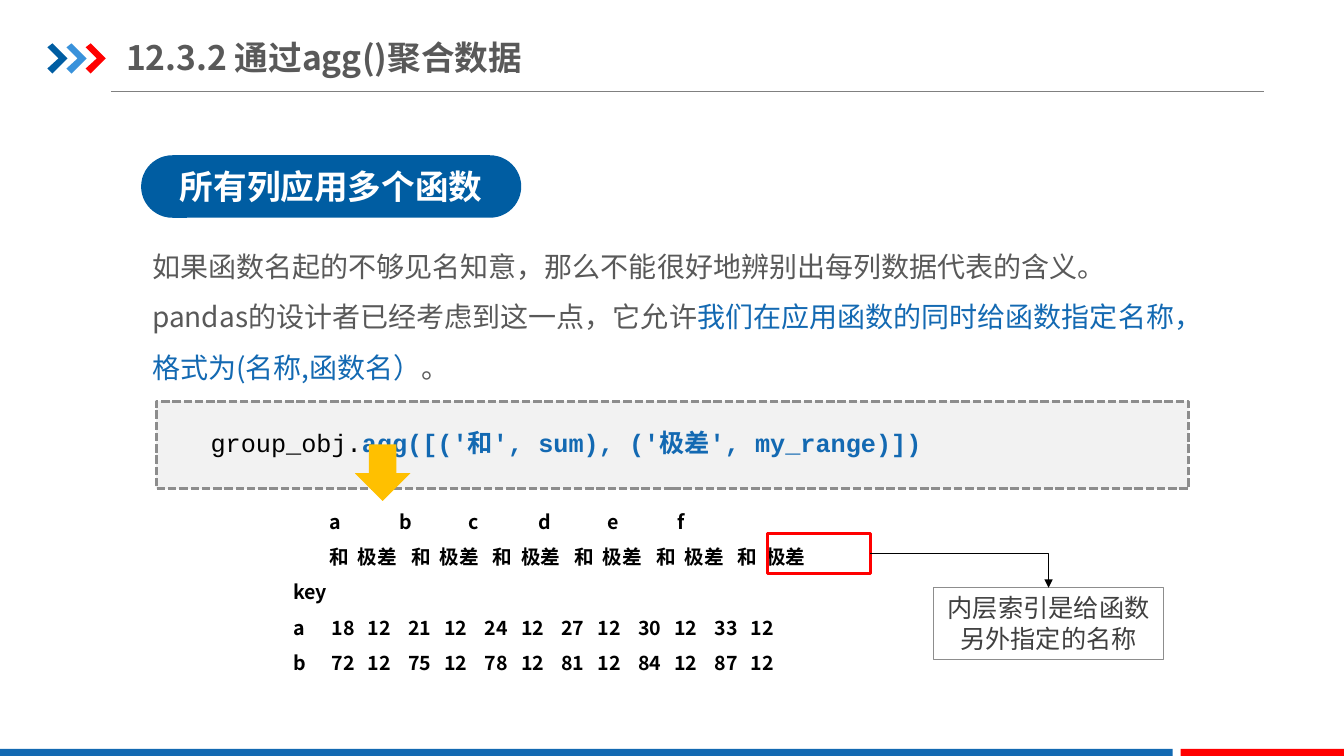
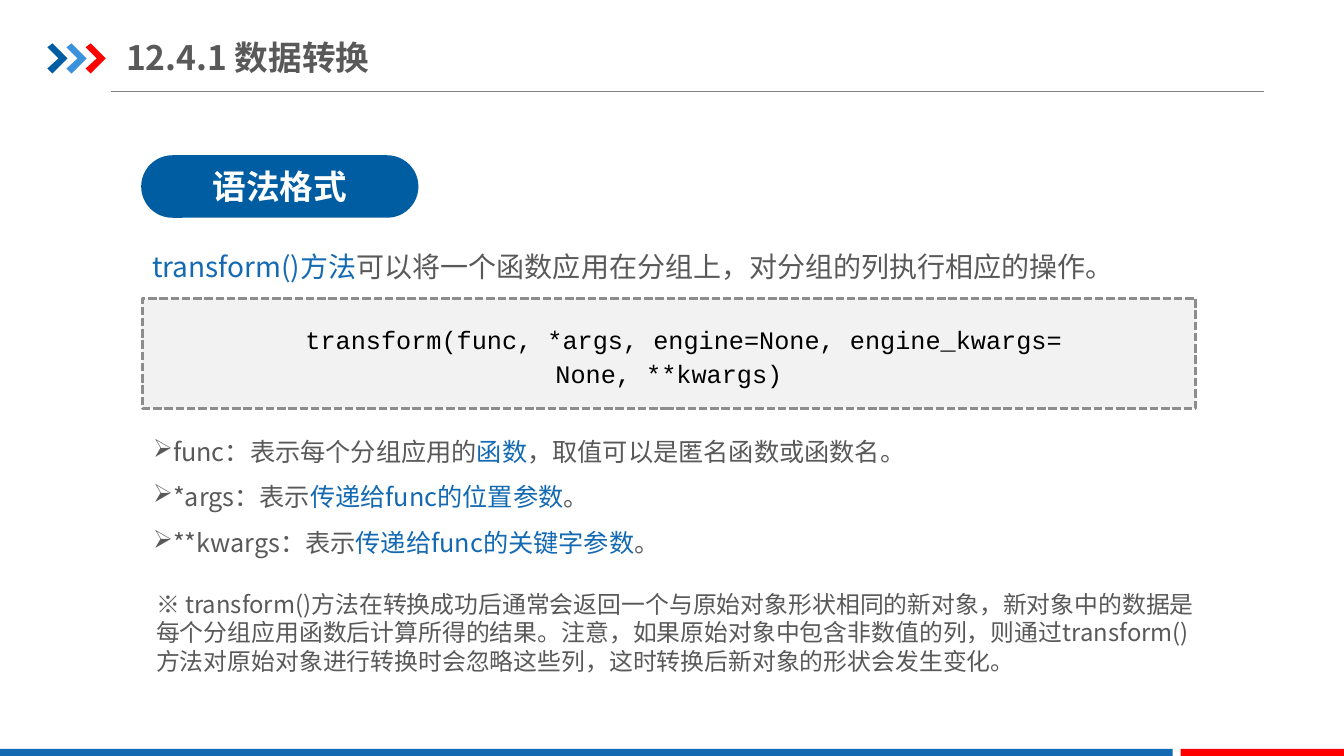
from dataclasses import dataclass

from lxml import etree
from pptx import Presentation
from pptx.dml.color import RGBColor
from pptx.enum import dml, shapes, text
from pptx.oxml import ns
from pptx.util import Inches, Pt


@dataclass(frozen=True)
class Theme:
    navy: str = "005DA2"
    sky: str = "3992DB"
    blue: str = "1369B2"
    red: str = "FF0000"
    amber: str = "FFC000"
    body: str = "595959"
    note: str = "404040"
    rule: str = "808080"
    border: str = "8D8D8D"
    panel: str = "F2F2F2"
    black: str = "000000"
    white: str = "FFFFFF"
    sans: str = "Noto Sans CJK SC"
    mono: str = "Courier New"
    heading_size: int = 24
    lead_size: int = 20
    text_size: int = 18
    remark_size: int = 17
    output_size: int = 14


theme = Theme()
rgb = RGBColor.from_string
RECT = shapes.MSO_SHAPE.RECTANGLE


def add_box(slide, at, kind=None, fill=None, line=None, width=0.75, dash=None):
    """Add a preset shape, or a text box when no kind is given."""
    place = [Inches(length) for length in at]
    if kind is None:
        return slide.shapes.add_textbox(*place)
    shape = slide.shapes.add_shape(kind, *place)
    shape.shadow.inherit = False
    if fill:
        shape.fill.solid()
        shape.fill.fore_color.rgb = rgb(fill)
    else:
        shape.fill.background()
    if line:
        shape.line.color.rgb = rgb(line)
        shape.line.width = Pt(width)
        shape.line.dash_style = dash
    else:
        shape.line.fill.background()
    return shape


def write(shape, paragraphs, size, color=theme.body, bold=False, font=theme.sans,
          align=text.PP_ALIGN.LEFT, anchor=text.MSO_ANCHOR.TOP, spacing=1.0,
          indent=0, bullet=None, tabs=None):
    """Fill a shape; a paragraph is a list of (text, colour, bold) runs, the last two optional."""
    frame = shape.text_frame
    frame.word_wrap = True
    frame.vertical_anchor = anchor
    for index, runs in enumerate(paragraphs):
        paragraph = frame.paragraphs[0] if index == 0 else frame.add_paragraph()
        paragraph.alignment = align
        paragraph.line_spacing = spacing
        properties = paragraph._p.get_or_add_pPr()
        if indent:
            properties.set("marL", "0")
            properties.set("indent", str(Inches(indent)))
        if bullet:
            etree.SubElement(properties, ns.qn("a:buChar")).set("char", bullet)
        if tabs and tabs[index]:
            tab_list = etree.SubElement(properties, ns.qn("a:tabLst"))
            for stop in tabs[index]:
                tab = etree.SubElement(tab_list, ns.qn("a:tab"))
                tab.set("pos", str(Inches(stop)))
                tab.set("algn", "l")
        for content, *style in runs:
            if content == "\n":
                paragraph.add_line_break()
                continue
            run = paragraph.add_run()
            run.text = content
            run.font.size = Pt(size)
            run.font.bold = style[1] if len(style) > 1 else bold
            run.font.color.rgb = rgb(style[0] if style else color)
            run.font.name = font
            east_asian = etree.SubElement(run._r.get_or_add_rPr(), ns.qn("a:ea"))
            east_asian.set("typeface", theme.sans)


presentation = Presentation()
presentation.slide_width = Inches(13.33)
presentation.slide_height = Inches(7.5)

# Shared frame: chevrons, title, rule, topic pill, footer bands
CHEVRON = [(0, 0.04), (0.05, 0), (0.2, 0.15), (0.05, 0.3), (0, 0.25), (0.11, 0.15)]
topics = [
    ("12.3.2 通过agg()聚合数据", "所有列应用多个函数", 3.77),
    ("12.4.1 数据转换", "语法格式", 2.75),
]
for title, topic, pill_width in topics:
    slide = presentation.slides.add_slide(presentation.slide_layouts[6])

    title_rule = slide.shapes.add_connector(
        shapes.MSO_CONNECTOR.STRAIGHT, Inches(1.1), Inches(0.91), Inches(12.54), Inches(0.91))
    title_rule.line.color.rgb = rgb(theme.rule)
    title_rule.line.width = Pt(0.75)
    etree.SubElement(title_rule._element.spPr, ns.qn("a:effectLst"))

    for index, color in enumerate([theme.navy, theme.sky, theme.red]):
        points = [(Inches(0.47 + 0.19 * index + x), Inches(0.43 + y)) for x, y in CHEVRON]
        builder = slide.shapes.build_freeform(*points[0])
        builder.add_line_segments(points[1:], close=True)
        chevron = builder.convert_to_shape()
        chevron.shadow.inherit = False
        chevron.fill.solid()
        chevron.fill.fore_color.rgb = rgb(color)
        chevron.line.fill.background()

    add_box(slide, (0, 7.43, 11.63, 0.07), RECT, theme.blue)
    add_box(slide, (11.71, 7.43, 1.62, 0.07), RECT, theme.red)

    title_box = add_box(slide, (1.25, 0.29, 4.55, 0.55))
    title_box.text_frame.margin_left = title_box.text_frame.margin_right = 0
    write(title_box, [[(title,)]], theme.heading_size, bold=True,
          anchor=text.MSO_ANCHOR.MIDDLE)

    pill = add_box(slide, (1.4, 1.54, pill_width, 0.62),
                   shapes.MSO_SHAPE.ROUNDED_RECTANGLE, theme.navy)
    pill.adjustments[0] = 0.5
    write(pill, [[(topic,)]], theme.heading_size, theme.white, bold=True,
          align=text.PP_ALIGN.CENTER, anchor=text.MSO_ANCHOR.MIDDLE)

agg_slide, transform_slide = presentation.slides

# Slide 1: naming the aggregated columns
write(add_box(agg_slide, (1.41, 2.26, 10.61, 1.62)), [[
    ("如果函数名起的不够见名知意，那么不能很好地辨别出每列数据代表的含义。"
     "pandas的设计者已经考虑到这一点，它允许",),
    ("我们在应用函数的同时给函数指定名称，格式为(名称,函数名）", theme.blue),
    ("。",),
]], theme.lead_size, spacing=1.5)

add_box(agg_slide, (1.55, 3.98, 10.24, 0.87), RECT, theme.panel, theme.border, 2,
        dml.MSO_LINE.SQUARE_DOT).line.dash_style = dml.MSO_LINE.SQUARE_DOT
write(add_box(agg_slide, (1.7, 4.14, 10.16, 0.45)), [[
    ("group_obj.",),
    ("agg([('和', sum), ('极差', my_range)])", theme.blue, True),
]], theme.text_size, theme.black, font=theme.mono, spacing=1.15, indent=0.29)
add_box(agg_slide, (3.52, 4.41, 0.55, 0.56), shapes.MSO_SHAPE.DOWN_ARROW, theme.amber)

column_stops = [0.36 + 0.69 * column for column in range(6)]
name_stops = [start + 0.81 * column for column in range(6) for start in (0.36, 0.64)]
value_stops = [start + 0.76 * column for column in range(6) for start in (0.38, 0.74)]
output_rows = [
    ("", list("abcdef"), column_stops),
    ("", ["和", "极差"] * 6, name_stops),
    ("key", [], []),
    ("a", "18 12 21 12 24 12 27 12 30 12 33 12".split(), value_stops),
    ("b", "72 12 75 12 78 12 81 12 84 12 87 12".split(), value_stops),
]
write(add_box(agg_slide, (2.81, 4.89, 5.76, 1.87)),
      [[("\t".join([label, *cells]),)] for label, cells, _ in output_rows],
      theme.output_size, theme.black, bold=True, spacing=1.5,
      tabs=[stops for _, _, stops in output_rows])

name_highlight = add_box(agg_slide, (7.61, 5.29, 1.02, 0.4), RECT, line=theme.red, width=2.25)
name_note = add_box(agg_slide, (9.26, 5.83, 2.28, 0.71), RECT, line=theme.border)
write(name_note, [[("内层索引是给函数另外指定的名称",)]], theme.text_size, theme.note,
      align=text.PP_ALIGN.CENTER)

note_arrow = agg_slide.shapes.add_connector(
    shapes.MSO_CONNECTOR.ELBOW, Inches(8.63), Inches(5.49), Inches(10.4), Inches(5.83))
note_arrow.begin_connect(name_highlight, 3)
note_arrow.end_connect(name_note, 0)
note_arrow.line.color.rgb = rgb(theme.black)
note_arrow.line.width = Pt(0.75)
arrow_properties = note_arrow._element.spPr
arrow_properties.find(ns.qn("a:prstGeom")).set("prst", "bentConnector2")
etree.SubElement(note_arrow.line._get_or_add_ln(), ns.qn("a:tailEnd")).set("type", "triangle")
etree.SubElement(arrow_properties, ns.qn("a:effectLst"))

# Slide 2: transform() syntax
write(add_box(transform_slide, (1.41, 2.26, 10.45, 0.61)), [[
    ("transform()方法", theme.blue),
    ("可以将一个函数应用在分组上，对分组的列执行相应的操作。",),
]], theme.lead_size, spacing=1.5)

add_box(transform_slide, (1.41, 2.96, 10.45, 1.09), RECT, theme.panel, theme.border, 2,
        dml.MSO_LINE.SQUARE_DOT)
write(add_box(transform_slide, (2.62, 3.12, 8.03, 0.8)), [[
    ("transform(func, *args, engine=None, engine_kwargs=",),
    ("\n",),
    ("None, **kwargs)",),
]], theme.text_size, theme.black, font=theme.mono, align=text.PP_ALIGN.CENTER,
      spacing=1.15, indent=0.29)

parameters = [
    ("func：表示每个分组应用的", "函数", "，取值可以是匿名函数或函数名。"),
    ("*args：表示", "传递给func的位置参数", "。"),
    ("**kwargs：表示", "传递给func的关键字参数", "。"),
]
write(add_box(transform_slide, (1.42, 4.13, 10.44, 1.46)),
      [[(before,), (key_phrase, theme.blue), (after,)]
       for before, key_phrase, after in parameters],
      theme.text_size, spacing=1.5, indent=-0.38, bullet="➢")

write(add_box(transform_slide, (1.45, 5.8, 10.69, 0.96)), [[
    ("※ transform()方法在转换成功后通常会返回一个与原始对象形状相同的新对象，"
     "新对象中的数据是每个分组应用函数后计算所得的结果。注意，如果原始对象中包含非数值的列，"
     "则通过transform() 方法对原始对象进行转换时会忽略这些列，"
     "这时转换后新对象的形状会发生变化。",),
]], theme.remark_size)

presentation.save("out.pptx")
